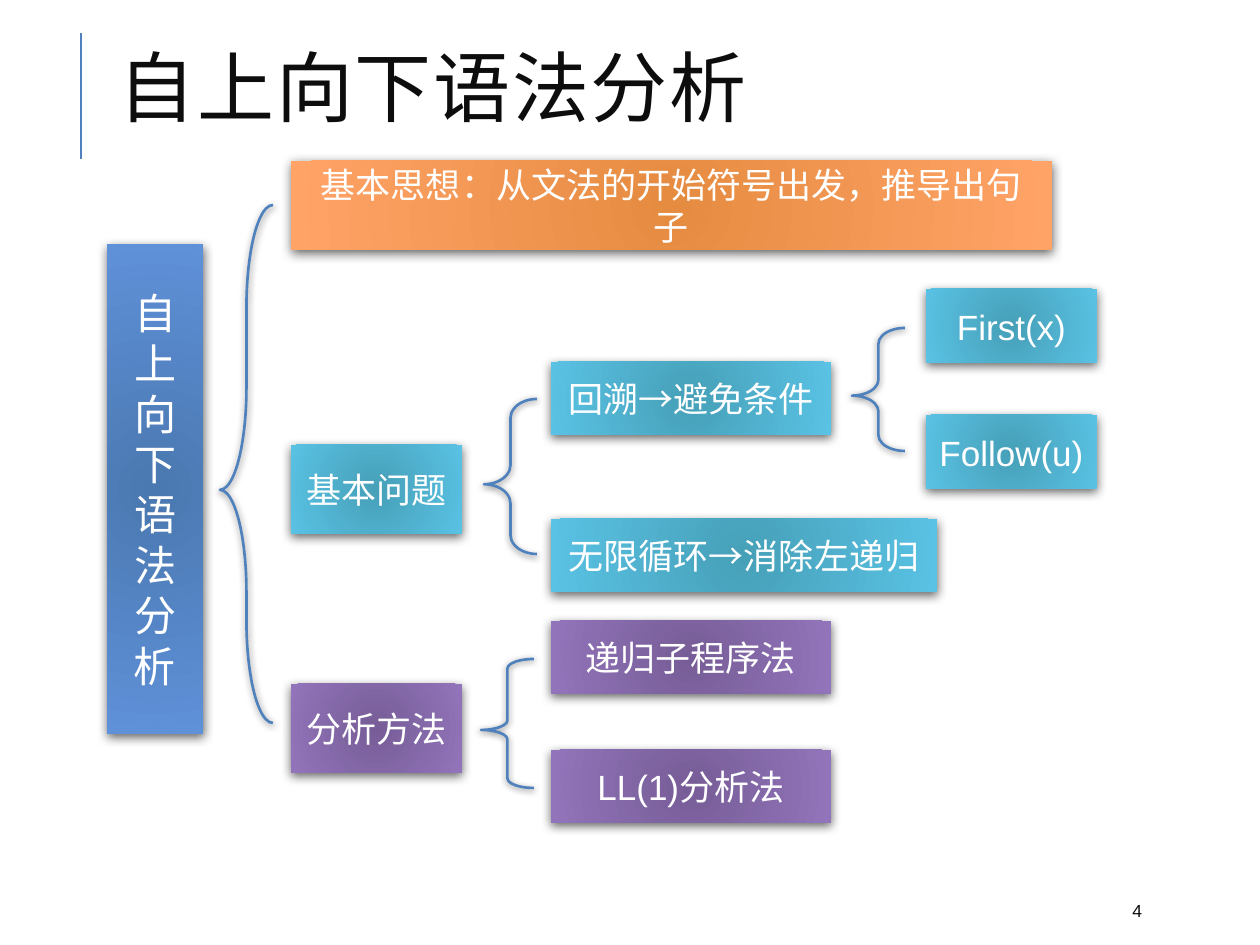
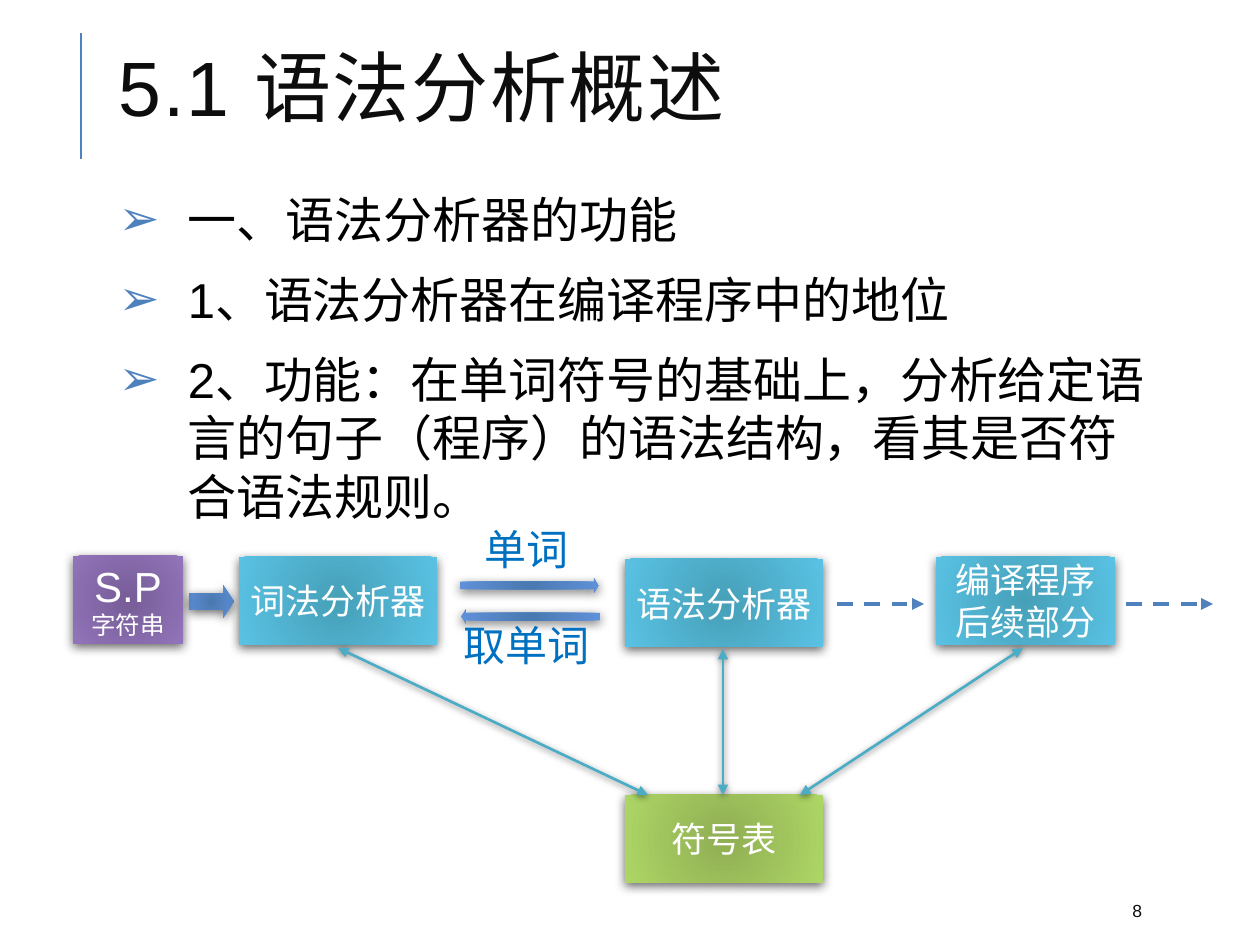
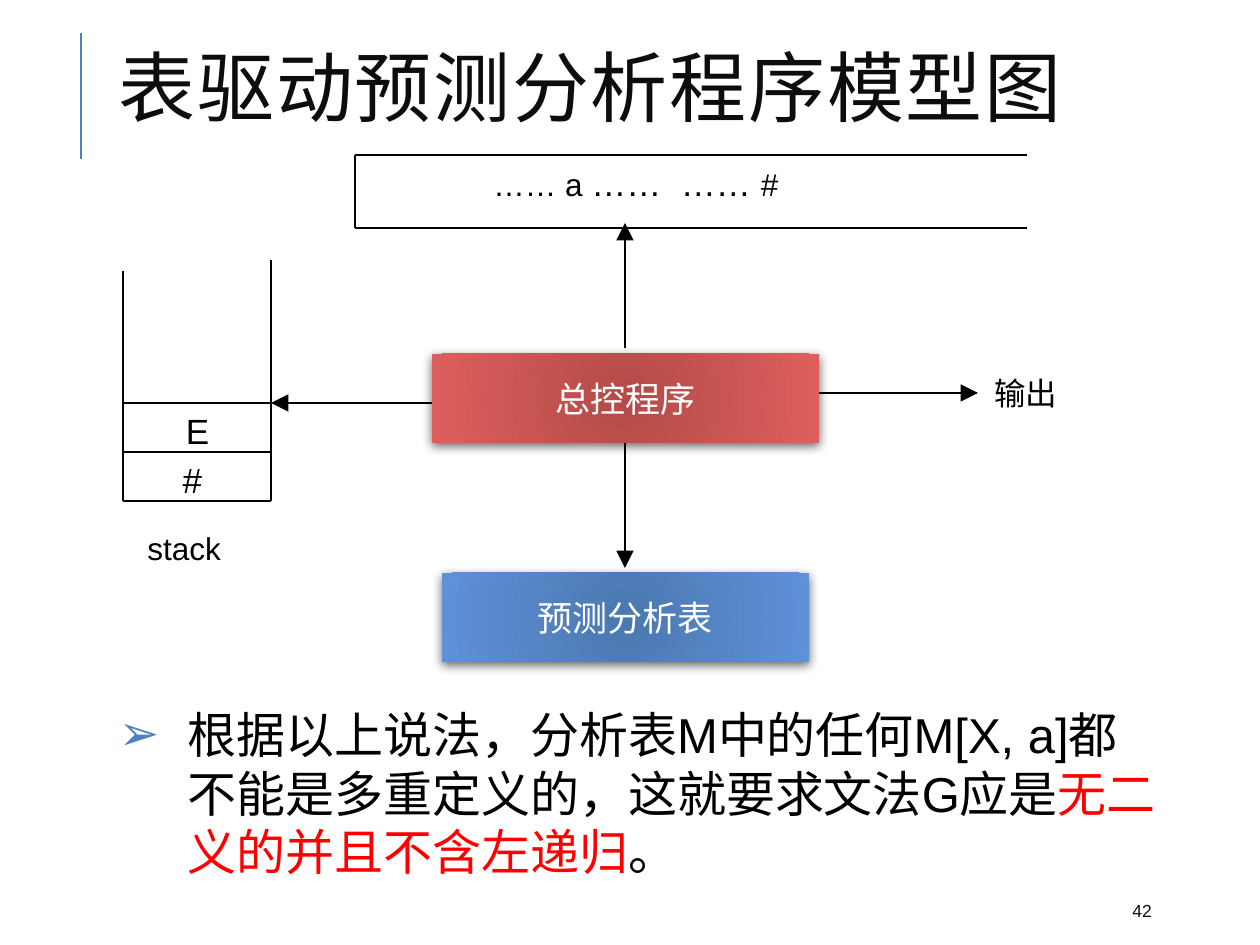
from lxml import etree
from pptx import Presentation
from pptx.dml.color import RGBColor
from pptx.enum.dml import MSO_LINE
from pptx.enum.shapes import MSO_CONNECTOR, MSO_SHAPE
from pptx.enum.text import MSO_ANCHOR, MSO_AUTO_SIZE, PP_ALIGN
from pptx.oxml.ns import qn
from pptx.util import Emu, Inches, Pt

PIXEL = Inches(1) / 126
FONT = "Arial"
INK = RGBColor(0x0D, 0x0D, 0x0D)
BLACK = RGBColor(0, 0, 0)
WHITE = RGBColor(0xFF, 0xFF, 0xFF)
RED = RGBColor(0xFF, 0, 0)
ACCENT = RGBColor(0x4F, 0x81, 0xBD)
TEAL_LINE = RGBColor(0x4B, 0xAC, 0xC6)
LABEL_BLUE = RGBColor(0x00, 0x70, 0xC0)
# Gradients: centre colour, edge colour
BLUE = (RGBColor(0x4A, 0x78, 0xB0), RGBColor(0x5F, 0x91, 0xD9))
ORANGE = (RGBColor(0xE6, 0x8C, 0x41), RGBColor(0xFF, 0xA3, 0x67))
TEAL = (RGBColor(0x46, 0xA0, 0xB8), RGBColor(0x5A, 0xC2, 0xE4))
PURPLE = (RGBColor(0x77, 0x5D, 0x97), RGBColor(0x92, 0x74, 0xBA))
GREEN = (RGBColor(0x90, 0xAE, 0x53), RGBColor(0xAE, 0xD6, 0x66))
CRIMSON = (RGBColor(0xB3, 0x4B, 0x48), RGBColor(0xDD, 0x5F, 0x5D))

RECT, ROUND = MSO_SHAPE.RECTANGLE, MSO_SHAPE.ROUNDED_RECTANGLE
BRACE, ARROW = MSO_SHAPE.LEFT_BRACE, MSO_SHAPE.RIGHT_ARROW
LEFT, CENTER = PP_ALIGN.LEFT, PP_ALIGN.CENTER
MIDDLE = MSO_ANCHOR.MIDDLE
STRAIGHT, DASH = MSO_CONNECTOR.STRAIGHT, MSO_LINE.DASH
FIXED, GROW = MSO_AUTO_SIZE.NONE, MSO_AUTO_SIZE.SHAPE_TO_FIT_TEXT
TITLE_AND_BODY, TITLE_ONLY = 1, 5

TITLE_AREA = (106, 33, 1071, 123)
NUMBER_AREA = (1120, 892, 101, 38)
SIDE_RULE = (81, 159, 81, 33)
BOX_SHADOW = (60, 6, 2)  # opacity in percent, blur and distance in points
LINE_SHADOW = (50, 4, 1)

# Slide 1: overview tree
ROOT = ("自上向下语法分析", (107, 244, 96, 490))
COLUMNS = (291, 551, 926)
TREE_BOXES = [  # text, column, top, width, height, gradient
    ("基本思想：从文法的开始符号出发，推导出句子", 0, 161, 761, 89, ORANGE),
    ("基本问题", 0, 445, 171, 89, TEAL),
    ("回溯→避免条件", 1, 362, 280, 73, TEAL),
    ("First(x)", 2, 289, 171, 74, TEAL),
    ("Follow(u)", 2, 415, 171, 74, TEAL),
    ("无限循环→消除左递归", 1, 519, 386, 73, TEAL),
    ("分析方法", 0, 684, 171, 89, PURPLE),
    ("递归子程序法", 1, 621, 280, 73, PURPLE),
    ("LL(1)分析法", 1, 750, 280, 73, PURPLE),
]
BRACE_WIDTH = 53
BRACES = [  # left, top, height, curve
    (220, 205, 518, 1.93), (484, 399, 155, 0.36),
    (852, 328, 123, 0.3), (481, 659, 129, 0.18),
]

# Slide 2: place of the parser
OVERVIEW = [
    "一、语法分析器的功能",
    "1、语法分析器在编译程序中的地位",
    "2、功能：在单词符号的基础上，分析给定语言的句子（程序）的语法结构，看其是否符合语法规则。",
]
OVERVIEW_AREA = (106, 183, 1071, 355)
STAGE_HEIGHT = 88
STAGES = [  # paragraphs, left, top, width, gradient
    ([[("S.P", {"size": 24})], [("字符串", {"size": 14})]], 73, 556, 110, PURPLE),
    (["词法分析器"], 239, 557, 198, TEAL),
    (["语法分析器"], 625, 559, 198, TEAL),
    (["编译程序", "后续部分"], 936, 557, 179, TEAL),
    (["符号表"], 625, 795, 198, GREEN),
]
BLOCK_ARROWS = [  # area, rotation
    ((189, 585, 45, 33), 0), ((460, 578, 139, 15), 0), ((461, 609, 139, 15), 180),
]
LABELS = [("单词", (474, 524, 105, 49)), ("取单词", (455, 620, 144, 49))]
DASHED_ARROWS = [(837, 604, 924, 604), (1126, 604, 1213, 604)]
TABLE_LINKS = [(338, 648, 648, 795), (723, 649, 723, 795), (1023, 648, 800, 795)]

# Slide 3: model of the table-driven parser
CONCLUSION = [[
    ("根据以上说法，分析表M中的任何M[X, a]都不能是多重定义的，这就要求文法G应是", {}),
    ("无二义的并且不含左递归", {"color": RED}),
    ("。", {}),
]]
CONCLUSION_AREA = (106, 698, 1071, 193)
STACK_LINES = [
    (123, 271, 123, 501), (123, 501, 271, 501), (271, 501, 271, 260),
    (123, 452, 272, 452), (123, 403, 272, 403),
]
TAPE_LINES = [(355, 155, 1027, 155), (355, 228, 1027, 228), (355, 155, 355, 228)]
FLOW_ARROWS = [
    (625, 348, 625, 223), (442, 403, 271, 403),
    (625, 442, 625, 568), (819, 393, 978, 393),
]
TAPE = [("…… a ", {}), ("……  …… ", {"size": 20}), ("#", {})]
NOTES = [  # paragraph, area, size, alignment, wrap
    (TAPE, (481, 155, 438, 55), 18, LEFT, True),
    ("stack", (135, 523, 100, 50), 18, LEFT, False),
    ("E", (123, 403, 149, 55), 20, CENTER, True),
    ("#", (123, 452, 139, 55), 20, CENTER, True),
    ("输出", (982, 368, 139, 52), 18, LEFT, True),
]
MODEL_BOXES = [
    ("预测分析表", (442, 573, 367, 89), BLUE),
    ("总控程序", (432, 354, 387, 89), CRIMSON),
]


def scaled(lengths):
    """Turn pixel lengths into EMU."""
    return [Emu(round(length * PIXEL)) for length in lengths]


def add_xml(parent, tag, **attributes):
    """Append a child element with the given attributes."""
    child = etree.SubElement(parent, qn(tag))
    for name, value in attributes.items():
        child.set(name, str(value))
    return child


def write(frame, paragraphs, size=20, color=BLACK, align=LEFT, anchor=None,
          wrap=True, fit=FIXED, line_spacing=None, gap=0, tracking=0, bullet=None):
    """Fill a text frame; a paragraph is a string or a list of (text, changes)."""
    frame.word_wrap = wrap
    frame.auto_size = fit
    if anchor is not None:
        frame.vertical_anchor = anchor
    for index, content in enumerate(paragraphs):
        para = frame.add_paragraph() if index else frame.paragraphs[0]
        para.alignment = align
        para.space_before = para.space_after = Pt(gap)
        if line_spacing:
            para.line_spacing = line_spacing
        if bullet:
            add_bullet(para, bullet)
        for text, changes in [(content, {})] if isinstance(content, str) else content:
            span = para.add_run()
            span.text = text
            span.font.name = FONT
            span.font.size = Pt(changes.get("size", size))
            span.font.color.rgb = changes.get("color", color)
            if tracking:
                span._r.get_or_add_rPr().set("spc", str(tracking))


def add_bullet(para, character):
    """Give a paragraph a coloured bullet and a hanging indent."""
    properties = para._p.get_or_add_pPr()
    properties.set("marL", str(Inches(0.55)))
    properties.set("indent", str(-Inches(0.55)))
    add_xml(add_xml(properties, "a:buClr"), "a:srgbClr", val=ACCENT)
    add_xml(properties, "a:buFont", typeface=FONT)
    add_xml(properties, "a:buChar", char=character)


def set_shadow(shape, shadow):
    """Replace the theme shadow by a downward one, or by none."""
    properties = shape.element.spPr
    effects = properties.find(qn("a:effectLst"))
    if effects is None:
        effects = add_xml(properties, "a:effectLst")
    if shadow:
        opacity, blur, distance = shadow
        outer = add_xml(effects, "a:outerShdw", blurRad=Pt(blur), dist=Pt(distance),
                        dir=90 * 60000, algn="ctr", rotWithShape=0)
        color = add_xml(outer, "a:srgbClr", val=BLACK)
        add_xml(color, "a:alpha", val=opacity * 1000)


def add_figure(page, kind, area, gradient=None, outline=None, shadow=None, adjust=()):
    """Add a preset shape with an optional gradient, outline and shadow."""
    shape = page.shapes.add_shape(kind, *scaled(area))
    for index, value in enumerate(adjust):
        shape.adjustments[index] = value
    if gradient:
        shape.fill.gradient()
        for stop, color, position in zip(shape.fill.gradient_stops, gradient, (0, 1)):
            stop.color.rgb = color
            stop.position = position
        fill = shape.element.spPr.find(qn("a:gradFill"))
        fill.remove(fill.find(qn("a:lin")))
        circle = add_xml(fill, "a:path", path="circle")
        add_xml(circle, "a:fillToRect", **dict.fromkeys("ltrb", 100000))
    else:
        shape.fill.background()
    if outline:
        shape.line.color.rgb = outline
        shape.line.width = Pt(1.5)
    else:
        shape.line.fill.background()
    shape.shadow.inherit = False
    set_shadow(shape, shadow)
    return shape


def add_box(page, paragraphs, area, gradient, size=20, wrap=False):
    """Add a shaded rectangle with centred white text."""
    box = add_figure(page, RECT, area, gradient, shadow=BOX_SHADOW)
    write(box.text_frame, paragraphs, size=size, color=WHITE, align=CENTER,
          anchor=MIDDLE, wrap=wrap)


def add_line(page, ends, color=BLACK, width=0.75, dash=None, heads=(),
             head_size="med", shadow=None):
    """Add a straight line; heads names the ends that get an arrowhead."""
    line = page.shapes.add_connector(STRAIGHT, *scaled(ends))
    line.line.color.rgb = color
    line.line.width = Pt(width)
    if dash:
        line.line.dash_style = dash
    outline = line.element.spPr.find(qn("a:ln"))
    for end in heads:
        add_xml(outline, f"a:{end}End", type="triangle", w=head_size, len=head_size)
    set_shadow(line, shadow)
    return line


def place(shape, area):
    """Move a placeholder to a pixel area."""
    shape.left, shape.top, shape.width, shape.height = scaled(area)


def add_note(page, paragraph, area, **form):
    """Add a text box with one paragraph."""
    box = page.shapes.add_textbox(*scaled(area))
    write(box.text_frame, [paragraph], **form)


def add_page(deck, title, number, body=None, body_area=None):
    """Add a page with its title, number and optional bulleted list."""
    layout = deck.slide_layouts[TITLE_AND_BODY if body else TITLE_ONLY]
    page = deck.slides.add_slide(layout)
    place(page.shapes.title, TITLE_AREA)
    write(page.shapes.title.text_frame, [title], size=44, color=INK, anchor=MIDDLE,
          line_spacing=0.8, tracking=100)
    if body:
        place(page.placeholders[1], body_area)
        write(page.placeholders[1].text_frame, body, size=28, gap=6, bullet="➢")
    add_note(page, number, NUMBER_AREA, size=10, color=INK, anchor=MIDDLE)
    return page


def build_tree(deck):
    """Build the overview tree of top-down parsing."""
    page = add_page(deck, "自上向下语法分析", "4")
    text, area = ROOT
    add_box(page, [text], area, BLUE, size=24, wrap=True)
    for left, top, height, curve in BRACES:
        add_figure(page, BRACE, (left, top, BRACE_WIDTH, height), outline=ACCENT,
                   shadow=LINE_SHADOW, adjust=(curve, 0.55))
    for text, column, top, width, height, gradient in TREE_BOXES:
        add_box(page, [text], (COLUMNS[column], top, width, height), gradient, wrap=True)
    return page


def build_parser_place(deck):
    """Build the list and the compiler pipeline."""
    page = add_page(deck, "5.1 语法分析概述", "8", OVERVIEW, OVERVIEW_AREA)
    for area, rotation in BLOCK_ARROWS:
        arrow = add_figure(page, ARROW, area, BLUE, shadow=BOX_SHADOW, adjust=(0.5, 0.33))
        arrow.rotation = rotation
    for text, area in LABELS:
        label = add_figure(page, ROUND, area, adjust=(0.04,))
        write(label.text_frame, [text], size=24, color=LABEL_BLUE, align=CENTER,
              anchor=MIDDLE, wrap=False)
    for paragraphs, left, top, width, gradient in STAGES:
        add_box(page, paragraphs, (left, top, width, STAGE_HEIGHT), gradient)
    for ends in DASHED_ARROWS:
        add_line(page, ends, ACCENT, 2.25, dash=DASH, heads=["tail"])
    for ends in TABLE_LINKS:
        add_line(page, ends, TEAL_LINE, 1.5, heads=["head", "tail"], shadow=LINE_SHADOW)


def build_model(deck):
    """Build the model of the table-driven predictive parser."""
    page = add_page(deck, "表驱动预测分析程序模型图", "42", CONCLUSION, CONCLUSION_AREA)
    for ends in STACK_LINES + TAPE_LINES:
        add_line(page, ends)
    for ends in FLOW_ARROWS:
        add_line(page, ends, heads=["tail"], head_size="lg")
    for paragraph, area, size, align, wrap in NOTES:
        add_note(page, paragraph, area, size=size, align=align, wrap=wrap, fit=GROW)
    for text, area, gradient in MODEL_BOXES:
        add_box(page, [text], area, gradient)


deck = Presentation()
deck.slide_width, deck.slide_height = Inches(10), Inches(7.5)
tree_page = build_tree(deck)
build_parser_place(deck)
build_model(deck)
# The rule beside the title is shared, so it moves to the slide master
side_rule = add_line(tree_page, SIDE_RULE, ACCENT, 1.5)
deck.slide_master.element.cSld.spTree.append(side_rule.element)
deck.save("out.pptx")
